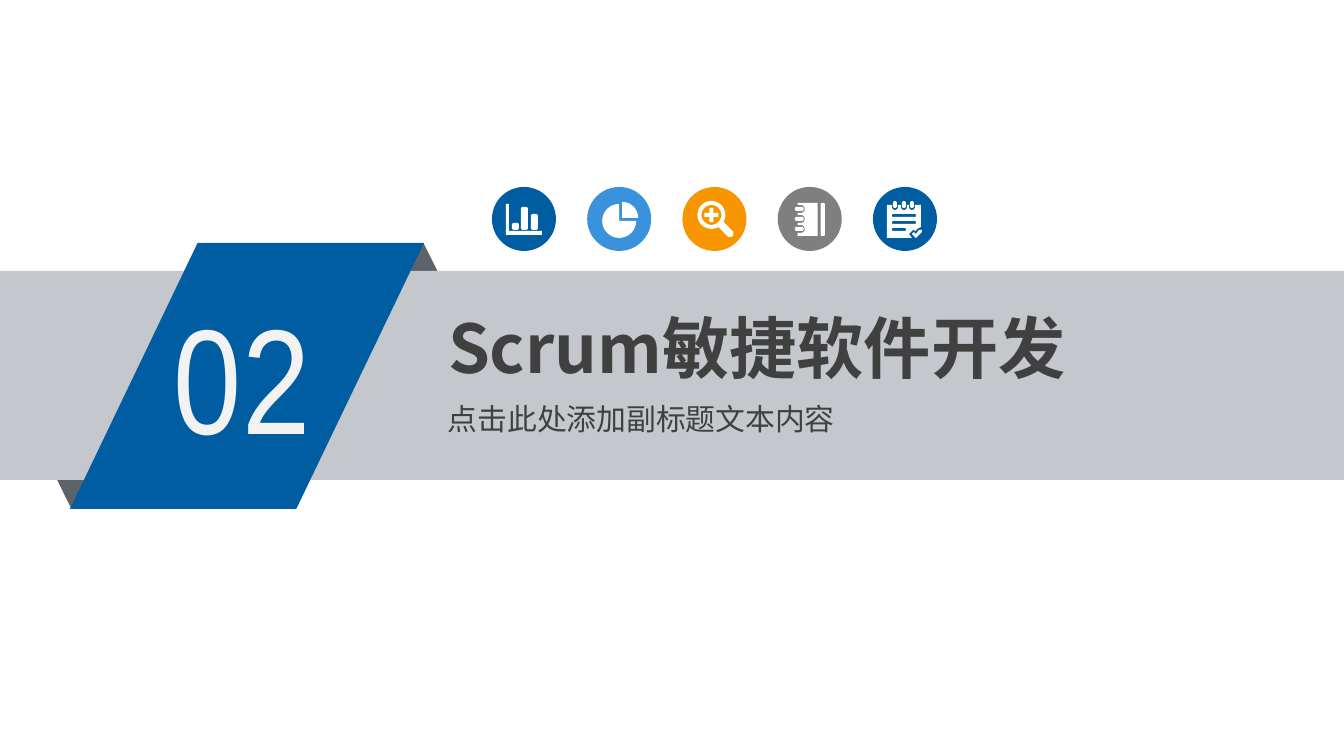
from dataclasses import dataclass
from math import cos, radians, sin

from lxml.etree import SubElement
from pptx import Presentation
from pptx.dml.color import RGBColor
from pptx.enum.shapes import MSO_SHAPE
from pptx.oxml.ns import qn
from pptx.util import Emu, Pt

SLIDE_WIDTH, SLIDE_HEIGHT = 1344, 756
SCALE = 9144000 / SLIDE_WIDTH  # EMU in one px


@dataclass(frozen=True)
class Theme:
    blue: str = "005DA2"
    light_blue: str = "3992DB"
    orange: str = "F79600"
    gray: str = "7F7F7F"
    band: str = "C4C7CB"
    fold: str = "5D636A"
    white: str = "FFFFFF"
    number: str = "F2F2F2"
    ink: str = "404040"
    number_font: str = "Arial Narrow"
    text_font: str = "Noto Sans CJK SC"
    number_size: int = 80
    title_size: int = 36
    subtitle_size: int = 16


THEME = Theme()


def px(length):
    return Emu(round(length * SCALE))


def paint(shape, color):
    shape.shadow.inherit = False
    shape.fill.solid()
    shape.fill.fore_color.rgb = RGBColor.from_string(color)
    shape.line.fill.background()
    return shape


def add_preset(slide, preset, left, top, width, height, color):
    shape = slide.shapes.add_shape(preset, px(left), px(top), px(width), px(height))
    return paint(shape, color)


def add_text(slide, text, left, top, width, height, *, font, size, color, bold=False):
    box = slide.shapes.add_textbox(px(left), px(top), px(width), px(height))
    frame = box.text_frame
    frame.word_wrap = True
    frame.margin_left = frame.margin_right = px(10)
    frame.margin_top = frame.margin_bottom = px(5)
    run = frame.paragraphs[0].add_run()
    run.text = text
    run.font.name = font
    run.font.size = Pt(size)
    run.font.bold = bold
    run.font.color.rgb = RGBColor.from_string(color)
    SubElement(run.font._element, qn("a:ea"), typeface=font)


# Contours for the icons, as lists of points
def arc(x, y, radius, start, end, steps=24):
    angles = [radians(start + (end - start) * i / steps) for i in range(steps + 1)]
    return [(x + radius * cos(a), y + radius * sin(a)) for a in angles]


def rounded(left, top, width, height, radius=2):
    right, bottom = left + width - radius, top + height - radius
    left, top = left + radius, top + radius
    corners = [(right, bottom), (left, bottom), (left, top), (right, top)]
    return [point for i, (x, y) in enumerate(corners)
            for point in arc(x, y, radius, 90 * i, 90 * i + 90, 6)]


def bar_chart_icon():
    axes = [(14, 17), (17, 17), (17, 44), (50, 44), (50, 48), (14, 48)]
    bars = [rounded(x, top, 7, 43 - top) for x, top in [(20, 36), (29, 20), (39, 27)]]
    return [axes, *bars]


def pie_icon():
    return [[(35, 31), *arc(35, 31, 16, -90, 0)],
            [(32, 34), *arc(32, 34, 17, 0, 270)]]


def magnifier_icon():
    outline = arc(29, 28, 14, 60, 390) + [(51, 45), (51, 48), (49, 50), (46, 50)]
    plus = [(-2, -7), (2, -7), (2, -2), (7, -2), (7, 2), (2, 2),
            (2, 7), (-2, 7), (-2, 2), (-7, 2), (-7, -2), (-2, -2)]
    return [outline, arc(29, 28, 10, 0, 360), [(29 + x, 28 + y) for x, y in plus]]


def notebook_icon():
    centers = [22, 32, 42]
    page = [(20, 16), (40, 16), (40, 49), (20, 49)]
    for y in reversed(centers):
        page += [(20, y + 4), *arc(23, y, 4, 90, -90), (20, y - 4)]
    rings = [rounded(17, y - 2, 9, 4) for y in centers]
    return [page, rounded(43, 16, 4, 33, 1), *rings]


def checklist_icon():
    centers = [22, 31, 39]
    sheet = [(14, 18)]
    for x in centers:
        sheet += [(x - 3, 18), *arc(x, 20, 3, 180, 0), (x + 3, 18)]
    sheet += [(48, 18), (48, 40), (44, 42), (43, 44), (40, 43),
              (36, 47), (39, 51), (14, 51)]
    check = [(49, 45), (43, 51), (39, 47), (41, 45), (43, 47), (46, 43), (49, 43)]
    rings = [rounded(x - 2, 14, 4, 7) for x in centers]
    lines = [rounded(19, y, width, 3, 1) for y, width in [(27, 24), (34, 24), (41, 14)]]
    return [sheet, check, *rings, *lines]


def add_icon(slide, left, top, size, color, contours):
    add_preset(slide, MSO_SHAPE.OVAL, left, top, size, size, color)
    placed = [[(px(left + x), px(top + y)) for x, y in contour] for contour in contours]
    builder = slide.shapes.build_freeform(*placed[0][0])
    builder.add_line_segments(placed[0][1:], close=True)
    for contour in placed[1:]:
        builder.move_to(*contour[0])
        builder.add_line_segments(contour[1:], close=True)
    paint(builder.convert_to_shape(), THEME.white)


def add_icon_row(slide, left, top, width, size):
    icons = [(THEME.blue, bar_chart_icon), (THEME.light_blue, pie_icon),
             (THEME.orange, magnifier_icon), (THEME.gray, notebook_icon),
             (THEME.blue, checklist_icon)]
    pitch = (width - size) / (len(icons) - 1)
    for i, (color, contours) in enumerate(icons):
        add_icon(slide, left + i * pitch, top, size, color, contours())


def add_ribbon(slide, left, top, width, height, number):
    # Folds behind the band
    fold_top = add_preset(slide, MSO_SHAPE.ISOSCELES_TRIANGLE,
                          left + 363, top, 121, 122, THEME.fold)
    fold_bottom = add_preset(slide, MSO_SHAPE.ISOSCELES_TRIANGLE,
                             left + 11, top + height - 122, 121, 122, THEME.fold)
    fold_top.rotation, fold_bottom.rotation = 0, 180
    # Band and slanted badge
    add_preset(slide, MSO_SHAPE.RECTANGLE, left, top + 28, width, height - 57, THEME.band)
    badge = add_preset(slide, MSO_SHAPE.PARALLELOGRAM,
                       left + 70, top, 354, height, THEME.blue)
    badge.adjustments[0] = 0.48
    add_text(slide, number, left + 164, top + 37, 195, 191, font=THEME.number_font,
             size=THEME.number_size, color=THEME.number)


def add_headings(slide, left, top, width, title, subtitle):
    add_text(slide, title, left, top, width, 97, font=THEME.text_font,
             size=THEME.title_size, color=THEME.ink, bold=True)
    add_text(slide, subtitle, left, top + 95, 452, 47, font=THEME.text_font,
             size=THEME.subtitle_size, color=THEME.ink)


def main():
    presentation = Presentation()
    presentation.slide_width, presentation.slide_height = px(SLIDE_WIDTH), px(SLIDE_HEIGHT)
    slide = presentation.slides.add_slide(presentation.slide_layouts[6])
    add_ribbon(slide, 0, 243, SLIDE_WIDTH, 266, "02")
    add_headings(slide, 438, 301, 742, "Scrum敏捷软件开发", "点击此处添加副标题文本内容")
    add_icon_row(slide, 492, 187, 445, 64)
    presentation.save("out.pptx")


if __name__ == "__main__":
    main()
